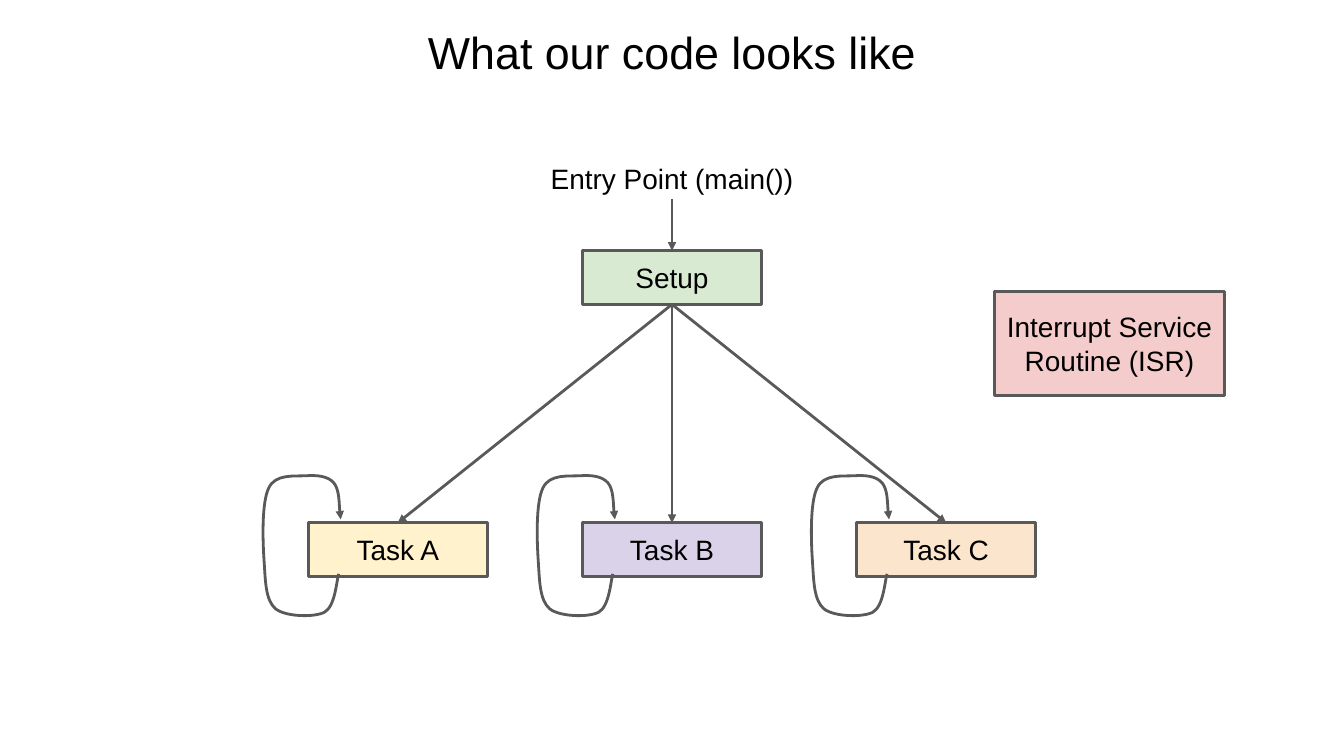
from lxml import etree
from pptx import Presentation
from pptx.dml.color import RGBColor
from pptx.enum.shapes import MSO_CONNECTOR, MSO_SHAPE
from pptx.enum.text import MSO_ANCHOR, PP_ALIGN
from pptx.oxml.ns import qn
from pptx.util import Inches, Pt

RECTANGLE = MSO_SHAPE.RECTANGLE
STRAIGHT = MSO_CONNECTOR.STRAIGHT
MIDDLE = MSO_ANCHOR.MIDDLE
CENTER = PP_ALIGN.CENTER

FONT = "Arial"
OUTLINE = "595959"
CENTER_X = 10
BOX_WIDTH, BOX_HEIGHT = 2.66, 0.8
SETUP_TOP = 3.73
SETUP_BOTTOM = SETUP_TOP + BOX_HEIGHT
TASK_TOP = 7.78
TASK_SPACING = 4.08
TASKS = [("Task A", "FFF2CC"), ("Task B", "D9D2E9"), ("Task C", "FCE5CD")]

LOOP_START = (0.45, 0.76)
LOOP_CONTROLS = [
    (0.42, 0.85), (0.4, 1.24), (0.24, 1.33),
    (0.09, 1.41), (-0.34, 1.4), (-0.49, 1.28),
    (-0.64, 1.15), (-0.64, 0.87), (-0.66, 0.57),
    (-0.68, 0.28), (-0.7, -0.3), (-0.59, -0.52),
    (-0.49, -0.73), (-0.21, -0.69), (-0.04, -0.7),
    (0.12, -0.71), (0.29, -0.7), (0.38, -0.59),
    (0.46, -0.49), (0.46, -0.14), (0.48, -0.05),
]


def rgb(hex_color):
    return RGBColor.from_string(hex_color)


def style_line(line, arrow=False):
    line.color.rgb = rgb(OUTLINE)
    line.width = Pt(3)
    if arrow:
        etree.SubElement(line._get_or_add_ln(), qn("a:tailEnd"), type="triangle")


def write_text(shape, text, size):
    frame = shape.text_frame
    frame.text = text
    frame.word_wrap = True
    frame.vertical_anchor = MIDDLE
    frame.margin_left = frame.margin_right = Inches(0.1)
    frame.margin_top = frame.margin_bottom = Inches(0.1)
    paragraph = frame.paragraphs[0]
    paragraph.alignment = CENTER
    font = paragraph.runs[0].font
    font.name = FONT
    font.size = Pt(size)
    font.color.rgb = rgb("000000")


def add_label(slide, text, left, top, width, height, size):
    label = slide.shapes.add_textbox(
        Inches(left), Inches(top), Inches(width), Inches(height))
    write_text(label, text, size)


def add_box(slide, text, fill, left, top, width=BOX_WIDTH, height=BOX_HEIGHT):
    box = slide.shapes.add_shape(
        RECTANGLE, Inches(left), Inches(top), Inches(width), Inches(height))
    box.shadow.inherit = False
    box.fill.solid()
    box.fill.fore_color.rgb = rgb(fill)
    style_line(box.line)
    write_text(box, text, 30)


def add_arrow(slide, start_x, start_y, end_x, end_y):
    arrow = slide.shapes.add_connector(
        STRAIGHT, Inches(start_x), Inches(start_y), Inches(end_x), Inches(end_y))
    style_line(arrow.line, arrow=True)
    etree.SubElement(arrow._element.spPr, qn("a:effectLst"))


def curve_outline(shape):
    segments = list(shape._element.iter(qn("a:lnTo")))
    outline = segments[0].getparent()
    for first in range(0, len(segments), 3):
        curve = etree.SubElement(outline, qn("a:cubicBezTo"))
        for segment in segments[first:first + 3]:
            curve.append(segment[0])
            outline.remove(segment)


def add_loop(slide, left, top):
    start, *controls = [(Inches(left + x), Inches(top + y))
                        for x, y in [LOOP_START, *LOOP_CONTROLS]]
    builder = slide.shapes.build_freeform(*start)
    builder.add_line_segments(controls, close=False)
    loop = builder.convert_to_shape()
    curve_outline(loop)
    loop.shadow.inherit = False
    loop.fill.background()
    style_line(loop.line, arrow=True)


def main():
    presentation = Presentation()
    presentation.slide_width = Inches(20)
    presentation.slide_height = Inches(11.25)
    slide = presentation.slides.add_slide(presentation.slide_layouts[6])

    add_label(slide, "What our code looks like", 0, 0, 20, 1.54, 48)
    add_label(slide, "Entry Point (main())", 7.66, 2.34, 4.68, 0.62, 30)
    add_box(slide, "Setup", "D9EAD3", CENTER_X - BOX_WIDTH / 2, SETUP_TOP)
    add_arrow(slide, CENTER_X, 2.96, CENTER_X, SETUP_TOP)
    add_box(slide, "Interrupt Service Routine (ISR)", "F4CCCC",
            14.8, 4.34, 3.42, 1.54)

    for index, (task, fill) in enumerate(TASKS):
        task_x = CENTER_X + (index - 1) * TASK_SPACING
        left = task_x - BOX_WIDTH / 2
        add_box(slide, task, fill, left, TASK_TOP)
        add_arrow(slide, CENTER_X, SETUP_BOTTOM, task_x, TASK_TOP)
        add_loop(slide, left, TASK_TOP)

    presentation.save("out.pptx")


if __name__ == "__main__":
    main()
